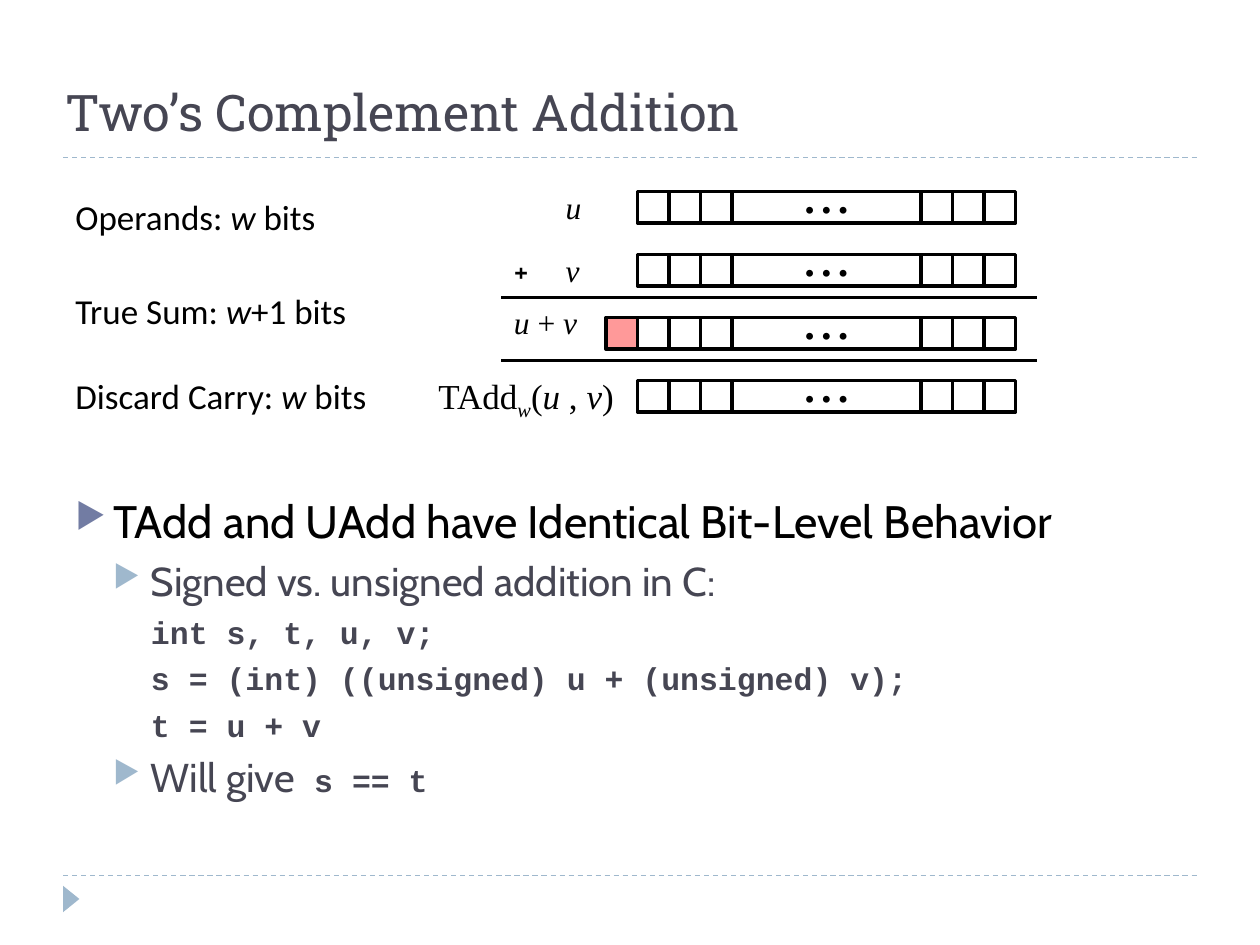
from lxml.etree import SubElement
from pptx import Presentation
from pptx.dml.color import RGBColor
from pptx.enum.dml import MSO_LINE
from pptx.enum.shapes import MSO_CONNECTOR, MSO_SHAPE
from pptx.enum.text import MSO_ANCHOR, MSO_AUTO_SIZE, PP_ALIGN
from pptx.oxml.ns import qn
from pptx.util import Emu, Inches, Pt

THEME = {
    "ink": "000000", "slate": "464653", "indigo": "727CA3", "mist": "9FB8CD",
    "bit": "FFFFFF", "carry": "FF9999",
    "title": ("Roboto Slab", 28.8), "point": ("Cabin", 26), "subpoint": ("Cabin", 23),
    "code": ("Courier New", 18), "caption": ("Calibri", 20),
    "symbol": ("Times New Roman", 18), "function": ("Times New Roman", 20),
    "mark": ("Cabin", 18),
}

# Content: *...* is italic, *_...* is an italic subscript
TITLE = "Two’s Complement Addition"
DOTS = "•\u00a0•\u00a0•"
LABELS = [  # text, style, alignment, left, top, width, height
    ("Operands: *w* bits", "caption", "l", 0.5, 1.5, 2.13, 0.44),
    ("True Sum: *w*+1 bits", "caption", "l", 0.5, 2.25, 2.37, 0.44),
    ("Discard Carry: *w* bits", "caption", "l", 0.5, 2.92, 2.8, 0.44),
    ("*u*", "symbol", "l", 4.39, 1.44, 0.33, 0.4),
    ("+", "mark", "l", 3.98, 1.94, 0.35, 0.4),
    ("*v*", "symbol", "l", 4.39, 1.94, 0.31, 0.4),
    ("*u *+ *v*", "symbol", "r", 3.98, 2.36, 0.7, 0.4),
    ("TAdd*_w*(*u* , *v*)", "function", "r", 3.33, 2.92, 1.64, 0.44),
]
BODY = [  # spans of (text, style), level, bullet colour
    ([("TAdd and UAdd have Identical Bit-Level Behavior", "point")], 0, "indigo"),
    ([("Signed vs. unsigned addition in C:", "subpoint")], 1, "mist"),
    ([("int s, t, u, v;", "code")], 1, None),
    ([("s = (int) ((unsigned) u + (unsigned) v);", "code")], 1, None),
    ([("t = u + v", "code")], 1, None),
    ([("Will give", "subpoint"), (" s == t", "code")], 1, "mist"),
]

# Register grid: one bit is a square, the ellipsis is six bits wide
BIT = 0.25
REGISTER_LEFT, REGISTER_TOP, REGISTER_STEP = 5.06, 1.52, 2 * BIT
BIT_COLUMNS = [0, 1, 2, 9, 10, 11]
ELLIPSIS_COLUMN, ELLIPSIS_BITS = 3, 6
REGISTERS, SUM_ROW = 4, 2
SUM_RULES, RULE_LEFT, RULE_BITS = (2.36, 2.86), 3.98, 17
PAGE_RULES, MARGIN = (1.25, 6.95), 0.5

deck = Presentation()
deck.slide_width, deck.slide_height = Inches(10), Inches(7.5)
page = deck.slides.add_slide(deck.slide_layouts[6])


def colour(name):
    return RGBColor.from_string(THEME[name])


def style_font(font, style, ink):
    name, size = THEME[style]
    font.name, font.size, font.color.rgb = name, Pt(size), colour(ink)
    font.bold = style == "code"


def add_text(left, top, width, height, wrap=True):
    box = page.shapes.add_textbox(*map(Inches, (left, top, width, height)))
    box.text_frame.word_wrap = wrap
    return box.text_frame


def add_rule(left, right, y, ink, weight, dash=None):
    rule = page.shapes.add_connector(
        MSO_CONNECTOR.STRAIGHT, *map(Inches, (left, y, right, y)))
    rule.line.color.rgb, rule.line.width = colour(ink), Pt(weight)
    if dash:
        rule.line.dash_style = dash
    SubElement(rule._element.spPr, qn("a:effectLst"))


def add_bits(group, column, row, count=1, fill="bit"):
    cell = group.shapes.add_shape(
        MSO_SHAPE.RECTANGLE, Inches(REGISTER_LEFT + column * BIT),
        Inches(REGISTER_TOP + row * REGISTER_STEP), Inches(count * BIT), Inches(BIT))
    cell.shadow.inherit = False
    cell.fill.solid()
    cell.fill.fore_color.rgb = colour(fill)
    cell.line.color.rgb, cell.line.width = colour("ink"), Pt(2)
    return cell


def set_bullet(para, level, ink):
    props = para._p.get_or_add_pPr()
    props.set("marL", str(Inches(0.3 * (level + 1))))
    props.set("indent", str(Inches(-0.3) if ink else Emu(0)))
    if ink:
        SubElement(SubElement(props, qn("a:buClr")), qn("a:srgbClr"), val=THEME[ink])
        SubElement(props, qn("a:buSzPct"), val="76000")
        SubElement(props, qn("a:buChar"), char="▶")
    else:
        SubElement(props, qn("a:buNone"))


# Page rules and corner marker
for y in PAGE_RULES:
    add_rule(MARGIN, 10 - MARGIN, y, "mist", 0.75, MSO_LINE.DASH)
marker = page.shapes.add_shape(
    MSO_SHAPE.ISOSCELES_TRIANGLE, *map(Inches, (0.46, 7.07, 0.21, 0.13)))
marker.rotation = 90
marker.shadow.inherit = False
marker.fill.solid()
marker.fill.fore_color.rgb = colour("mist")
marker.line.fill.background()

# Title
frame = add_text(0.42, 0.56, 8.17, 0.61)
frame.vertical_anchor = MSO_ANCHOR.BOTTOM
frame.text = TITLE
style_font(frame.paragraphs[0].font, "title", "slate")

# Bullets and code
frame = add_text(0.5, 3.86, 8.66, 2.45)
for index, (spans, level, bullet) in enumerate(BODY):
    para = frame.add_paragraph() if index else frame.paragraphs[0]
    para.level = level
    para.space_before = Pt(6 - level)
    set_bullet(para, level, bullet)
    for text, style in spans:
        span = para.add_run()
        span.text = text
        style_font(span.font, style, "slate" if level else "ink")

# Bit registers
for row in range(REGISTERS):
    register = page.shapes.add_group_shape()
    for column in BIT_COLUMNS:
        add_bits(register, column, row)
    frame = add_bits(register, ELLIPSIS_COLUMN, row, ELLIPSIS_BITS).text_frame
    frame.word_wrap = False
    frame.vertical_anchor = MSO_ANCHOR.MIDDLE
    frame.text = DOTS
    frame.paragraphs[0].alignment = PP_ALIGN.CENTER
    style_font(frame.paragraphs[0].font, "mark", "ink")
    if row == SUM_ROW:
        add_bits(register, -1, row, fill="carry")

# Sum rules
for y in SUM_RULES:
    add_rule(RULE_LEFT, RULE_LEFT + RULE_BITS * BIT, y, "ink", 2)

# Row labels
for text, style, align, *place in LABELS:
    frame = add_text(*place, wrap=False)
    frame.auto_size = MSO_AUTO_SIZE.SHAPE_TO_FIT_TEXT
    para = frame.paragraphs[0]
    para.alignment = PP_ALIGN.RIGHT if align == "r" else PP_ALIGN.LEFT
    style_font(para.font, style, "ink")
    for index, part in enumerate(text.split("*")):
        if part:
            span = para.add_run()
            span.text = part.lstrip("_")
            span.font.italic = index % 2 == 1
            if part.startswith("_"):
                span.font._element.set("baseline", "-25000")

deck.save("out.pptx")
